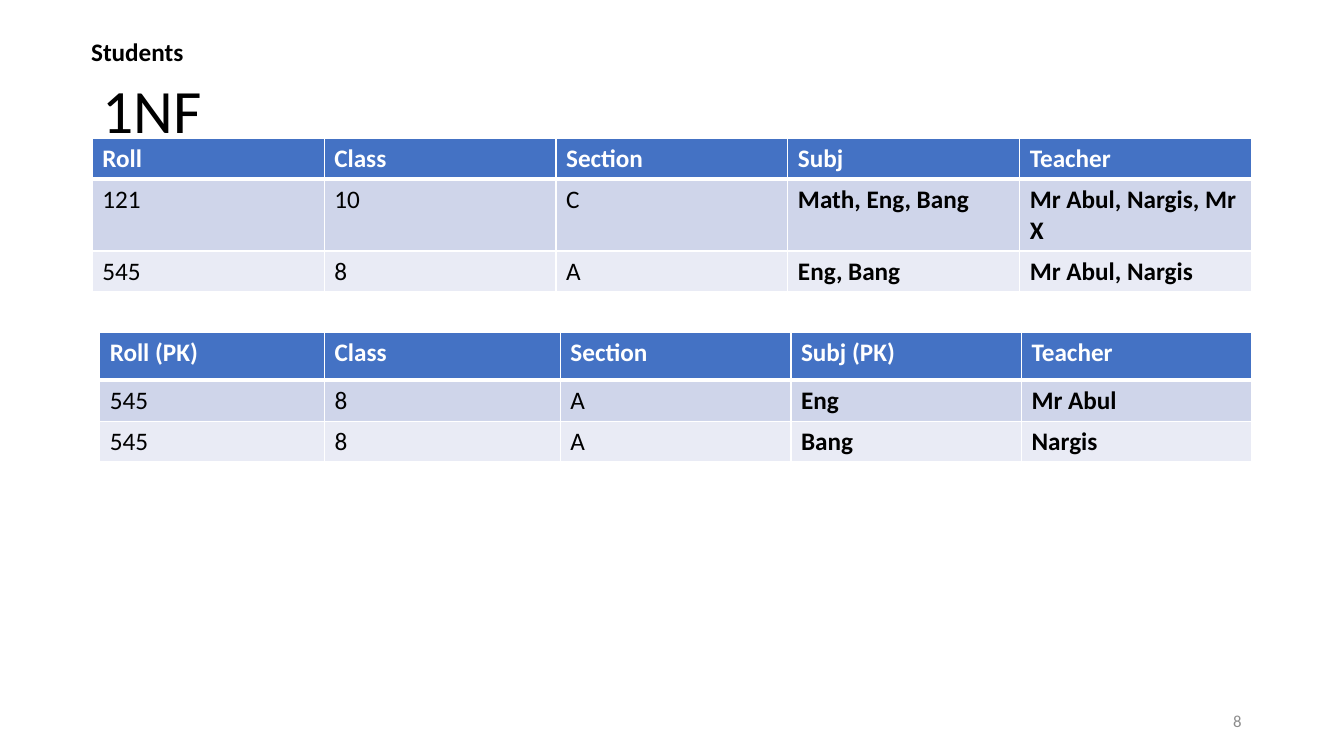
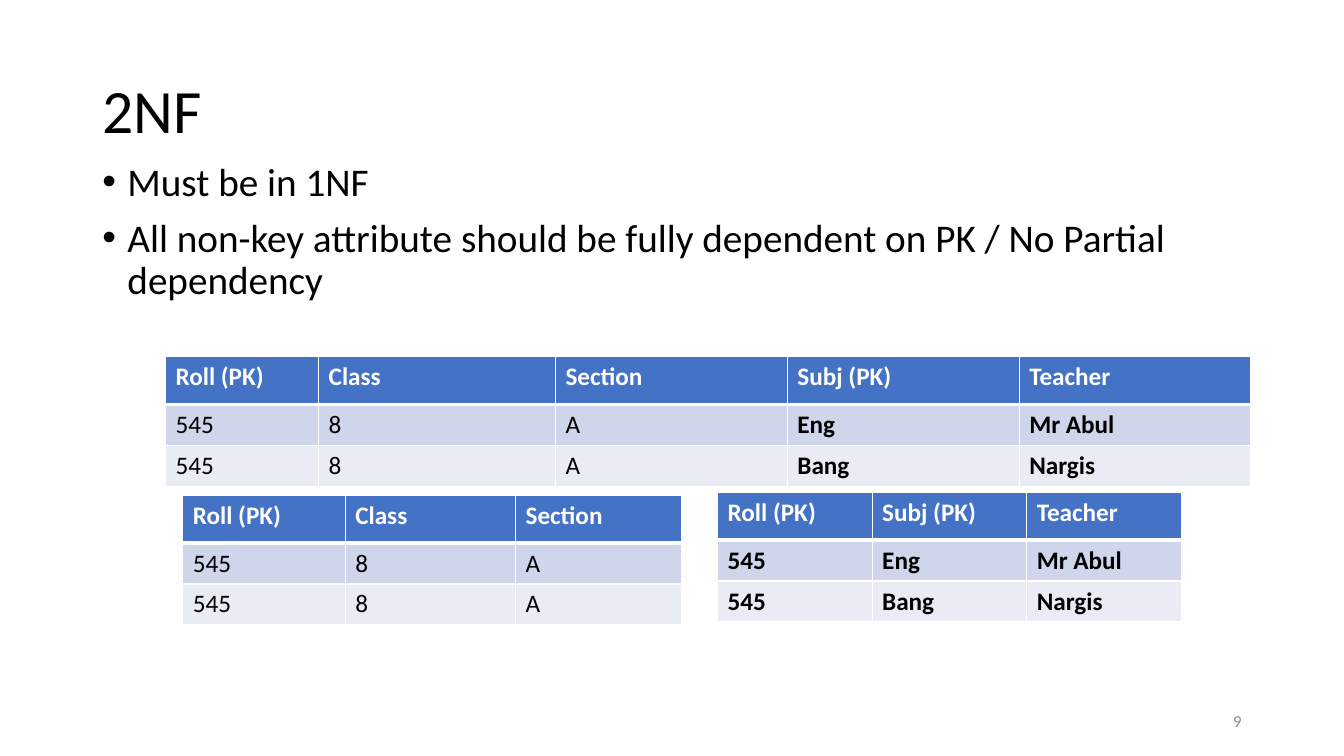
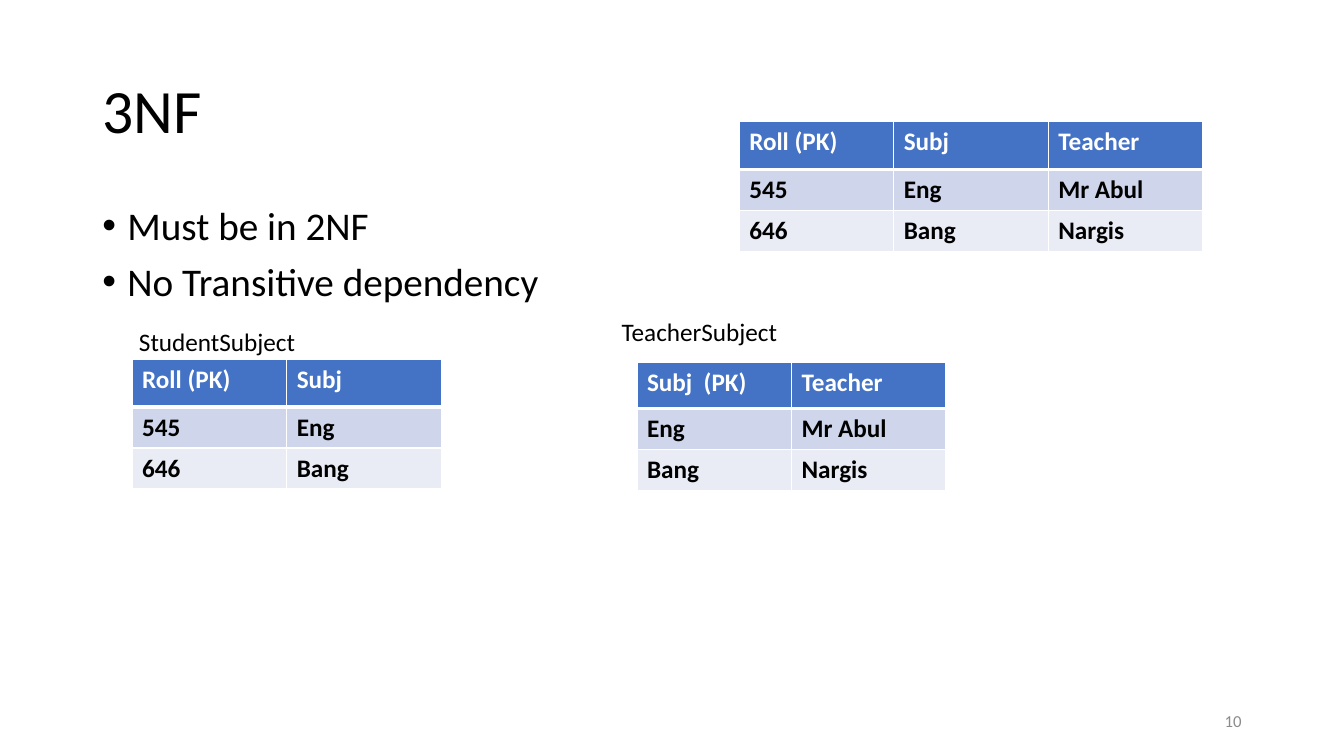
"""Build three slides on the first, second and third normal forms."""
import pptx
import pptx.dml.color
import pptx.enum.text
import pptx.util
import pptx.oxml
import pptx.oxml.ns

Pt = pptx.util.Pt
ALIGN = pptx.enum.text.PP_ALIGN
ANCHOR = pptx.enum.text.MSO_ANCHOR
FIT = pptx.enum.text.MSO_AUTO_SIZE
FONT = "Calibri"
COLORS = {
    "text": "000000",
    "muted": "8C8C8C",
    "header": "4472C4",
    "band_dark": "CFD5EA",
    "band_light": "E9EBF5",
    "white": "FFFFFF",
}
MARGIN, CONTENT_WIDTH = 66, 828
ROW_HEIGHT, WRAPPED_ROW_HEIGHT = 29.2, 51.2
HEADER_HEIGHT = 34
COLUMN_WIDTH = 110.4


def rgb(color):
    """Return the named colour."""
    return pptx.dml.color.RGBColor.from_string(COLORS[color])


def add_run(paragraph, text, size, color="text", bold=False):
    """Append one formatted run to a paragraph."""
    run = paragraph.add_run()
    run.text = text
    run.font.name = FONT
    run.font.size = Pt(size)
    run.font.bold = bold
    run.font.color.rgb = rgb(color)


def place(shape, left, top, width, height):
    """Set the position and size of a shape."""
    shape.left, shape.top = Pt(left), Pt(top)
    shape.width, shape.height = Pt(width), Pt(height)


def add_frame(slide, left, top, width, height):
    """Add a wrapping text box and return its text frame."""
    frame = slide.shapes.add_textbox(Pt(left), Pt(top), Pt(width), Pt(height)).text_frame
    frame.word_wrap = True
    return frame


def add_page(deck, heading, number):
    """Add a title-only slide with its heading and page number."""
    slide = deck.slides.add_slide(deck.slide_layouts[5])
    title = slide.shapes.title
    place(title, MARGIN, 28.75, CONTENT_WIDTH, 104.4)
    title.text_frame.auto_size = FIT.NONE
    title.text_frame.vertical_anchor = ANCHOR.MIDDLE
    paragraph = title.text_frame.paragraphs[0]
    paragraph.alignment = ALIGN.LEFT
    paragraph.line_spacing = 0.9
    add_run(paragraph, heading, 44)

    footer = add_frame(slide, 678, 500.5, 216, 28.75)
    footer.vertical_anchor = ANCHOR.MIDDLE
    footer.paragraphs[0].alignment = ALIGN.RIGHT
    add_run(footer.paragraphs[0], str(number), 12, "muted")
    return slide


def add_label(slide, left, top, width, text, bold=False):
    """Add a one-line table caption."""
    frame = add_frame(slide, left, top, width, 29)
    frame.auto_size = FIT.SHAPE_TO_FIT_TEXT
    add_run(frame.paragraphs[0], text, 18, bold=bold)


def add_bullets(slide, top, height, rules):
    """Add the bulleted rules of a normal form."""
    frame = add_frame(slide, MARGIN, top, CONTENT_WIDTH, height)
    for index, rule in enumerate(rules):
        paragraph = frame.add_paragraph() if index else frame.paragraphs[0]
        paragraph.line_spacing = 0.9
        paragraph.space_before = Pt(10)
        properties = paragraph._p.get_or_add_pPr()
        properties.set("marL", str(Pt(18)))
        properties.set("indent", str(-Pt(18)))
        namespace = pptx.oxml.ns.nsdecls("a")
        properties.append(pptx.oxml.parse_xml(f'<a:buFont {namespace} typeface="Arial"/>'))
        properties.append(pptx.oxml.parse_xml(f'<a:buChar {namespace} char="•"/>'))
        add_run(paragraph, rule, 28)


def set_borders(cell, top, bottom):
    """Draw white cell borders with the given top and bottom widths."""
    properties = cell._tc.get_or_add_tcPr()
    for side, width in (("L", 1), ("R", 1), ("T", top), ("B", bottom)):
        properties.append(pptx.oxml.parse_xml(
            f'<a:ln{side} {pptx.oxml.ns.nsdecls("a")} w="{Pt(width)}"><a:solidFill>'
            f'<a:srgbClr val="{COLORS["white"]}"/></a:solidFill></a:ln{side}>'))


def add_relation(slide, left, top, widths, rows, bold_from=0, heights=None):
    """Add a banded table whose body is bold from one column on."""
    heights = heights or (HEADER_HEIGHT, ROW_HEIGHT, ROW_HEIGHT)
    table = slide.shapes.add_table(
        len(rows), len(widths), Pt(left), Pt(top), Pt(sum(widths)), Pt(sum(heights))).table
    for column, width in zip(table.columns, widths):
        column.width = Pt(width)
    fills = ("header", "band_dark", "band_light")
    for row_index, values in enumerate(rows):
        table.rows[row_index].height = Pt(heights[row_index])
        is_header = row_index == 0
        for column_index, value in enumerate(values):
            cell = table.cell(row_index, column_index)
            set_borders(cell, 3 if row_index == 1 else 1, 3 if is_header else 1)
            cell.fill.solid()
            cell.fill.fore_color.rgb = rgb(fills[row_index])
            add_run(cell.text_frame.paragraphs[0], value, 18,
                    "white" if is_header else "text",
                    is_header or column_index >= bold_from)


def main():
    """Build and save the deck."""
    deck = pptx.Presentation()
    deck.slide_width, deck.slide_height = Pt(960), Pt(540)
    keyed_students = (
        ("Roll (PK)", "Class", "Section", "Subj (PK)", "Teacher"),
        ("545", "8", "A", "Eng", "Mr Abul"),
        ("545", "8", "A", "Bang", "Nargis"),
    )

    first = add_page(deck, "1NF", 8)
    add_relation(first, MARGIN, 98.9, [165.6] * 5, (
        ("Roll", "Class", "Section", "Subj", "Teacher"),
        ("121", "10", "C", "Math, Eng, Bang", "Mr Abul, Nargis, Mr X"),
        ("545", "8", "A", "Eng, Bang", "Mr Abul, Nargis"),
    ), 3, (ROW_HEIGHT, WRAPPED_ROW_HEIGHT, ROW_HEIGHT))
    add_label(first, 58, 22.6, 325.4, "Students", True)
    add_relation(first, 71.2, 237.6, [160.6, 168.5] + [164.7] * 3, keyed_students, 3)

    second = add_page(deck, "2NF", 9)
    add_bullets(second, 112.3, 131, (
        "Must be in 1NF",
        "All non-key attribute should be fully dependent on PK / No Partial dependency",
    ))
    add_relation(second, 118.2, 254.9, [109.4, 169.2] + [165.6] * 3, keyed_students, 3)
    add_relation(second, 130.6, 353.9, [116, 121.7, 118.8],
                 [row[:3] for row in keyed_students], 3)
    add_relation(second, 512.6, 351.8, [COLUMN_WIDTH] * 3,
                 [row[:1] + row[3:] for row in keyed_students])

    third = add_page(deck, "3NF", 10)
    add_bullets(third, 143.75, 342.6, ("Must be in 2NF", "No Transitive dependency"))
    subjects = (
        ("Roll (PK)", "Subj", "Teacher"),
        ("545", "Eng", "Mr Abul"),
        ("646", "Bang", "Nargis"),
    )
    add_relation(third, 528, 87, [COLUMN_WIDTH] * 3, subjects)
    add_relation(third, 94.4, 256.8, [COLUMN_WIDTH] * 2, [row[:2] for row in subjects])
    add_relation(third, 455, 258.7, [COLUMN_WIDTH] * 2,
                 [("Subj  (PK)", "Teacher")] + [row[1:] for row in subjects[1:]],
                 heights=(33, ROW_HEIGHT, ROW_HEIGHT))
    add_label(third, 92.2, 229.7, 223.2, "StudentSubject")
    add_label(third, 437, 222.5, 223.2, "TeacherSubject")

    deck.save("out.pptx")


if __name__ == "__main__":
    main()
